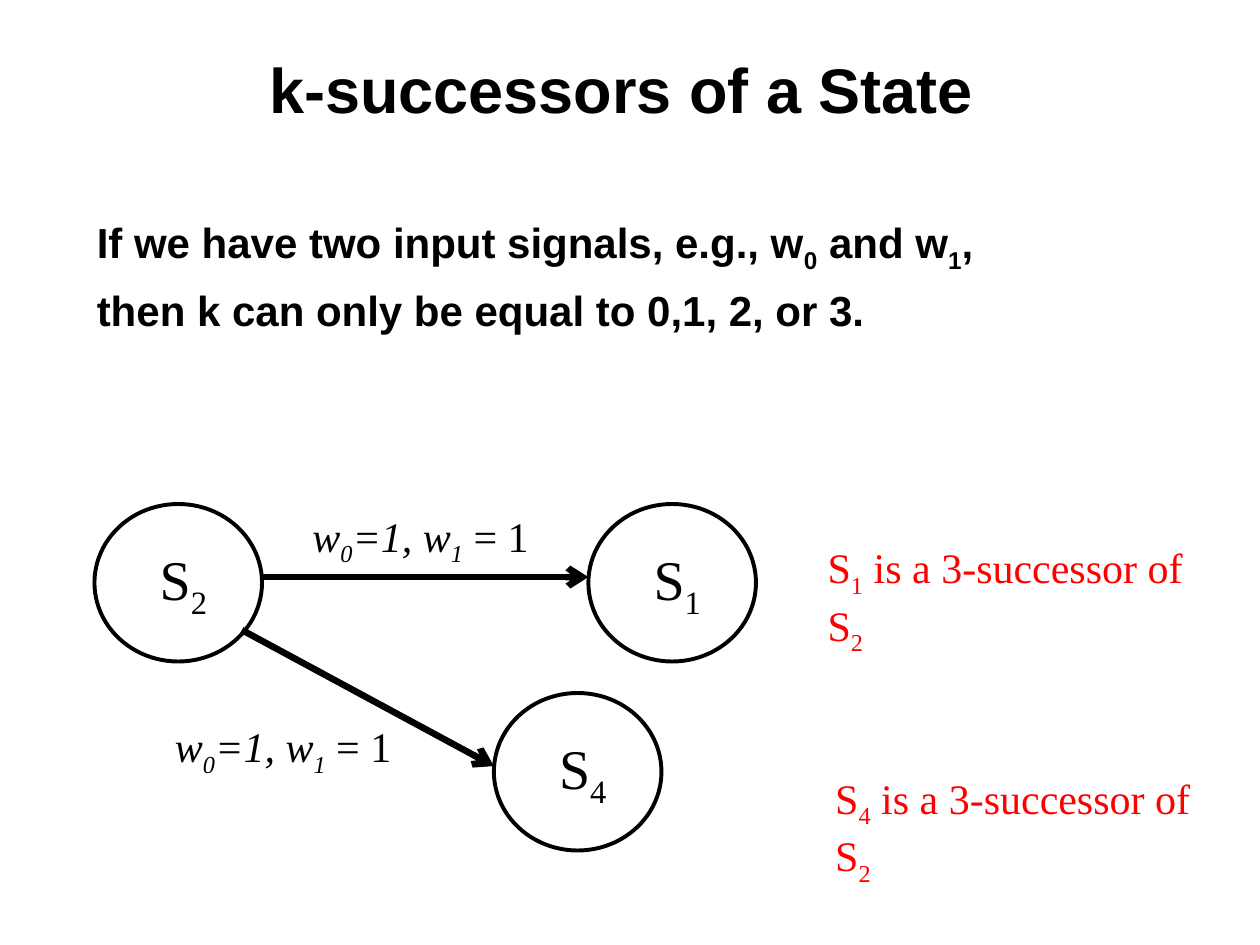
from dataclasses import dataclass

from lxml import etree
from pptx import Presentation
from pptx.dml.color import RGBColor
from pptx.enum.shapes import MSO_CONNECTOR, MSO_SHAPE
from pptx.enum.text import MSO_ANCHOR, PP_ALIGN
from pptx.oxml.ns import qn
from pptx.util import Inches, Pt

OVAL = MSO_SHAPE.OVAL
STRAIGHT = MSO_CONNECTOR.STRAIGHT
MIDDLE = MSO_ANCHOR.MIDDLE
CENTER = PP_ALIGN.CENTER
LEFT = PP_ALIGN.LEFT


@dataclass(frozen=True)
class Theme:
    """Colours, fonts, type sizes and line widths of the slide."""
    ink: RGBColor = RGBColor(0, 0, 0)
    paper: RGBColor = RGBColor(255, 255, 255)
    accent: RGBColor = RGBColor(255, 0, 0)
    heading_font: str = "Arial"
    diagram_font: str = "Times New Roman"
    title_size: float = 36
    text_size: float = 24
    state_size: float = 32
    outline: float = 2.25
    arrow: float = 3.75


THEME = Theme()


def add_text(paragraph, text, font=THEME.diagram_font, size=THEME.text_size,
             color=THEME.ink, bold=False, italic=False, align=LEFT):
    """Append text to a paragraph, lowering each character that follows an underscore."""
    paragraph.alignment = align
    first, *rest = text.split("_")
    pieces = [(first, False)]
    for part in rest:
        pieces += [(part[:1], True), (part[1:], False)]
    for piece, lowered in pieces:
        if not piece:
            continue
        run = paragraph.add_run()
        run.text = piece
        run.font.name = font
        run.font.size = Pt(size)
        run.font.color.rgb = color
        run.font.bold = bold
        run.font.italic = italic
        if lowered:
            run.font._element.set("baseline", "-25000")


def add_text_frame(slide, box, wrap=True):
    """Add an empty text box and return its text frame."""
    frame = slide.shapes.add_textbox(*map(Inches, box)).text_frame
    frame.word_wrap = wrap
    return frame


def place_title(slide, box, text):
    """Move and format the title placeholder."""
    title = slide.shapes.title
    title.left, title.top, title.width, title.height = map(Inches, box)
    title.text_frame.vertical_anchor = MIDDLE
    add_text(title.text_frame.paragraphs[0], text, font=THEME.heading_font,
             size=THEME.title_size, bold=True, align=CENTER)


def add_statement(slide, box, lines):
    """Add the bold statement, one paragraph for each line."""
    frame = add_text_frame(slide, box)
    for index, line in enumerate(lines):
        paragraph = frame.add_paragraph() if index else frame.paragraphs[0]
        paragraph.space_before = Pt(6)
        add_text(paragraph, line, font=THEME.heading_font, bold=True)


def add_state(slide, box, name):
    """Add a state circle with its name inside."""
    state = slide.shapes.add_shape(OVAL, *map(Inches, box))
    state.shadow.inherit = False
    state.fill.solid()
    state.fill.fore_color.rgb = THEME.paper
    state.line.color.rgb = THEME.ink
    state.line.width = Pt(THEME.outline)
    frame = state.text_frame
    frame.vertical_anchor = MIDDLE
    frame.margin_left, frame.margin_right = Inches(0.14), Inches(0.06)
    add_text(frame.paragraphs[0], name, size=THEME.state_size, align=CENTER)


def add_transition(slide, start, end):
    """Add an arrow from one state to the next."""
    arrow = slide.shapes.add_connector(STRAIGHT, *map(Inches, start + end))
    arrow.line.color.rgb = THEME.ink
    arrow.line.width = Pt(THEME.arrow)
    etree.SubElement(arrow.line._get_or_add_ln(), qn("a:tailEnd"), type="arrow")
    etree.SubElement(arrow._element.spPr, qn("a:effectLst"))


def add_input_label(slide, box):
    """Add the input values that trigger a transition."""
    paragraph = add_text_frame(slide, box, wrap=False).paragraphs[0]
    add_text(paragraph, "w_0=1, w_1", italic=True)
    add_text(paragraph, " = 1")


def add_note(slide, box, text):
    """Add a coloured remark about a successor state."""
    paragraph = add_text_frame(slide, box, wrap=False).paragraphs[0]
    add_text(paragraph, text, color=THEME.accent)


def add_state_diagram(slide, box):
    """Place the states, transitions and input labels within the box."""
    left, top, width, height = box
    state_width, state_height = 1.33, 1.25
    right = left + width - state_width
    bottom = top + height - state_height
    lower_left = left + 3.17
    for x, y, name in ((left, top, "S_2"), (right, top, "S_1"),
                       (lower_left, bottom, "S_4")):
        add_state(slide, (x, y, state_width, state_height), name)
    arrow_y = top + 0.58
    add_transition(slide, (left + state_width, arrow_y), (right, arrow_y))
    add_transition(slide, (left + 1.17, top + 1), (lower_left, bottom + 0.58))
    for x, y in ((1.63, 0), (0.54, 1.67)):
        add_input_label(slide, (left + x, top + y, 1.92, 0.56))


def main():
    """Build and save the slide."""
    presentation = Presentation()
    presentation.slide_width, presentation.slide_height = Inches(10), Inches(7.5)
    slide = presentation.slides.add_slide(presentation.slide_layouts[5])
    place_title(slide, (0, 0.33, 10, 0.75), "k-successors of a State ")
    add_statement(slide, (0.67, 1.67, 8.67, 1.33),
                  ("If we have two input signals, e.g., w_0 and w_1,",
                   "then k can only be equal to 0,1, 2, or 3."))
    add_state_diagram(slide, (0.75, 4, 5.25, 2.75))
    add_note(slide, (6.47, 4.25, 3.38, 0.56), "S_1 is a 3-successor of S_2")
    add_note(slide, (6.53, 6.08, 3.38, 0.56), "S_4 is a 3-successor of S_2")
    presentation.save("out.pptx")


if __name__ == "__main__":
    main()
